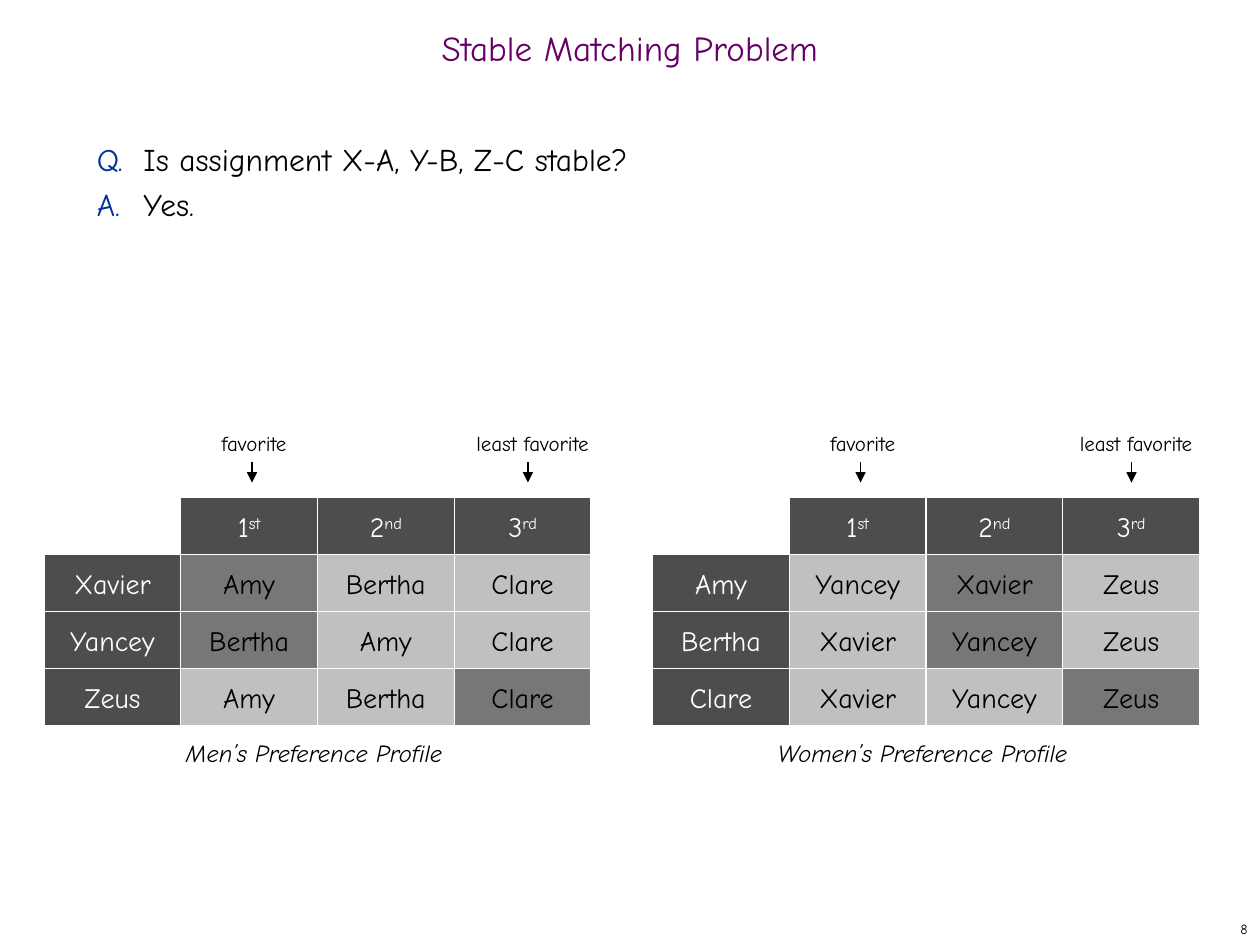
"""Build the Stable Matching Problem slide with two preference profiles."""
from lxml import etree
from pptx import Presentation
from pptx.dml.color import RGBColor
from pptx.enum.shapes import MSO_CONNECTOR, MSO_SHAPE
from pptx.enum.text import MSO_ANCHOR, MSO_AUTO_SIZE, PP_ALIGN
from pptx.oxml.ns import qn
from pptx.util import Inches, Pt

RECT, STRAIGHT = MSO_SHAPE.RECTANGLE, MSO_CONNECTOR.STRAIGHT
LEFT, CENTER, RIGHT = PP_ALIGN.LEFT, PP_ALIGN.CENTER, PP_ALIGN.RIGHT
TOP, MIDDLE = MSO_ANCHOR.TOP, MSO_ANCHOR.MIDDLE
NO_FIT = MSO_AUTO_SIZE.NONE

BLACK = RGBColor(0x00, 0x00, 0x00)
WHITE = RGBColor(0xFF, 0xFF, 0xFF)
PURPLE = RGBColor(0x66, 0x00, 0x66)
BLUE = RGBColor(0x00, 0x33, 0x99)
HEADER = RGBColor(0x4D, 0x4D, 0x4D)
MATCHED = RGBColor(0x77, 0x77, 0x77)
PLAIN = RGBColor(0xC0, 0xC0, 0xC0)
FONT = "Comic Neue"

TITLE = "Stable Matching Problem"
DIALOGUE = [("Q.", "Is assignment X-A, Y-B, Z-C stable?"), ("A.", "Yes.")]
RANKS = [("1", "st"), ("2", "nd"), ("3", "rd")]
MATCHES = {("Xavier", "Amy"), ("Yancey", "Bertha"), ("Zeus", "Clare")}
PROFILES = [
    {"caption": "Men’s Preference Profile", "left": 0.35,
     "marks": [("favorite", 1.41, 0.53, 1.65), ("least favorite", 3.43, 0.91, 3.84)],
     "rows": [("Xavier", "Amy", "Bertha", "Clare"),
              ("Yancey", "Bertha", "Amy", "Clare"),
              ("Zeus", "Amy", "Bertha", "Clare")]},
    {"caption": "Women’s Preference Profile", "left": 5.18,
     "marks": [("favorite", 1.41, 0.53, 1.65), ("least favorite", 3.39, 0.91, 3.8)],
     "rows": [("Amy", "Yancey", "Xavier", "Zeus"),
              ("Bertha", "Xavier", "Yancey", "Zeus"),
              ("Clare", "Xavier", "Yancey", "Zeus")]},
]
GRID_TOP, GRID_BOTTOM, COL_W = 3.95, 5.76, 1.085
ROW_H = (GRID_BOTTOM - GRID_TOP) / 4


def style(r, size, color, italic=False):
    r.font.name, r.font.size, r.font.italic = FONT, Pt(size), italic
    r.font.color.rgb = color


def add_text(slide, box, text, size, align=LEFT, anchor=MIDDLE, italic=False, inset=True):
    tf = slide.shapes.add_textbox(*map(Inches, box)).text_frame
    tf.text, tf.vertical_anchor, tf.word_wrap = text, anchor, False
    if not inset:
        tf.margin_left = tf.margin_right = tf.margin_top = tf.margin_bottom = 0
    p = tf.paragraphs[0]
    p.alignment = align
    style(p.runs[0], size, BLACK, italic)


def add_cell(slide, left, row, col, parts, fill, color):
    box = (left + col * COL_W, GRID_TOP + row * ROW_H, COL_W, ROW_H)
    sp = slide.shapes.add_shape(RECT, *map(Inches, box))
    sp.shadow.inherit = False
    sp.fill.solid()
    sp.fill.fore_color.rgb = fill
    sp.line.color.rgb, sp.line.width = WHITE, Pt(0.75)
    tf = sp.text_frame
    tf.vertical_anchor, tf.word_wrap = MIDDLE, False
    p = tf.paragraphs[0]
    p.alignment = CENTER
    for i, part in enumerate(parts):
        r = p.add_run()
        r.text = part
        style(r, 16, color)
        if i:
            r.font._element.set("baseline", "30000")


def add_arrow(slide, x):
    line = slide.shapes.add_connector(STRAIGHT, *map(Inches, (x, 3.67, x, 3.83)))
    line.line.color.rgb, line.line.width = BLACK, Pt(0.75)
    ln = line.line._get_or_add_ln()
    etree.SubElement(ln, qn("a:tailEnd"), type="triangle")
    etree.SubElement(line._element.spPr, qn("a:effectLst"))


def add_title(slide):
    sp = slide.shapes.title
    sp.left, sp.top, sp.width, sp.height = map(Inches, (0, 0.17, 10, 0.5))
    tf = sp.text_frame
    tf.text, tf.vertical_anchor, tf.auto_size = TITLE, MIDDLE, NO_FIT
    p = tf.paragraphs[0]
    p.alignment, p.line_spacing = CENTER, 0.7
    style(p.runs[0], 20, PURPLE)


def add_dialogue(slide):
    tf = slide.shapes.add_textbox(*map(Inches, (0.67, 1, 8.58, 2.5))).text_frame
    tf.word_wrap = True
    for i, (label, words) in enumerate(DIALOGUE):
        p = tf.add_paragraph() if i else tf.paragraphs[0]
        p.line_spacing = Pt(26)
        pPr = p._p.get_or_add_pPr()
        pPr.set("marL", str(Inches(0.37)))
        pPr.set("indent", str(-Inches(0.37)))
        for text, color in ((label + "\t", BLUE), (words, BLACK)):
            r = p.add_run()
            r.text = text
            style(r, 18, color)


def add_profile(slide, profile):
    left = profile["left"]
    for col, parts in enumerate(RANKS, 1):
        add_cell(slide, left, 0, col, parts, HEADER, WHITE)
    for row, (person, *choices) in enumerate(profile["rows"], 1):
        add_cell(slide, left, row, 0, [person], HEADER, WHITE)
        for col, choice in enumerate(choices, 1):
            matched = MATCHES & {(person, choice), (choice, person)}
            add_cell(slide, left, row, col, [choice], MATCHED if matched else PLAIN, BLACK)
    for text, offset, width, arrow in profile["marks"]:
        add_text(slide, (left + offset, 3.42, width, 0.2), text, 12, anchor=TOP, inset=False)
        add_arrow(slide, left + arrow)
    add_text(slide, (left - 0.02, 5.75, 4.33, 0.45), profile["caption"], 14, CENTER, italic=True)


def main():
    prs = Presentation()
    prs.slide_width, prs.slide_height = Inches(10), Inches(7.5)
    slide = prs.slides.add_slide(prs.slide_layouts[5])
    add_title(slide)
    add_dialogue(slide)
    for profile in PROFILES:
        add_profile(slide, profile)
    add_text(slide, (7.92, 7.25, 2.08, 0.25), "8", 8, RIGHT)
    prs.save("out.pptx")


if __name__ == "__main__":
    main()
